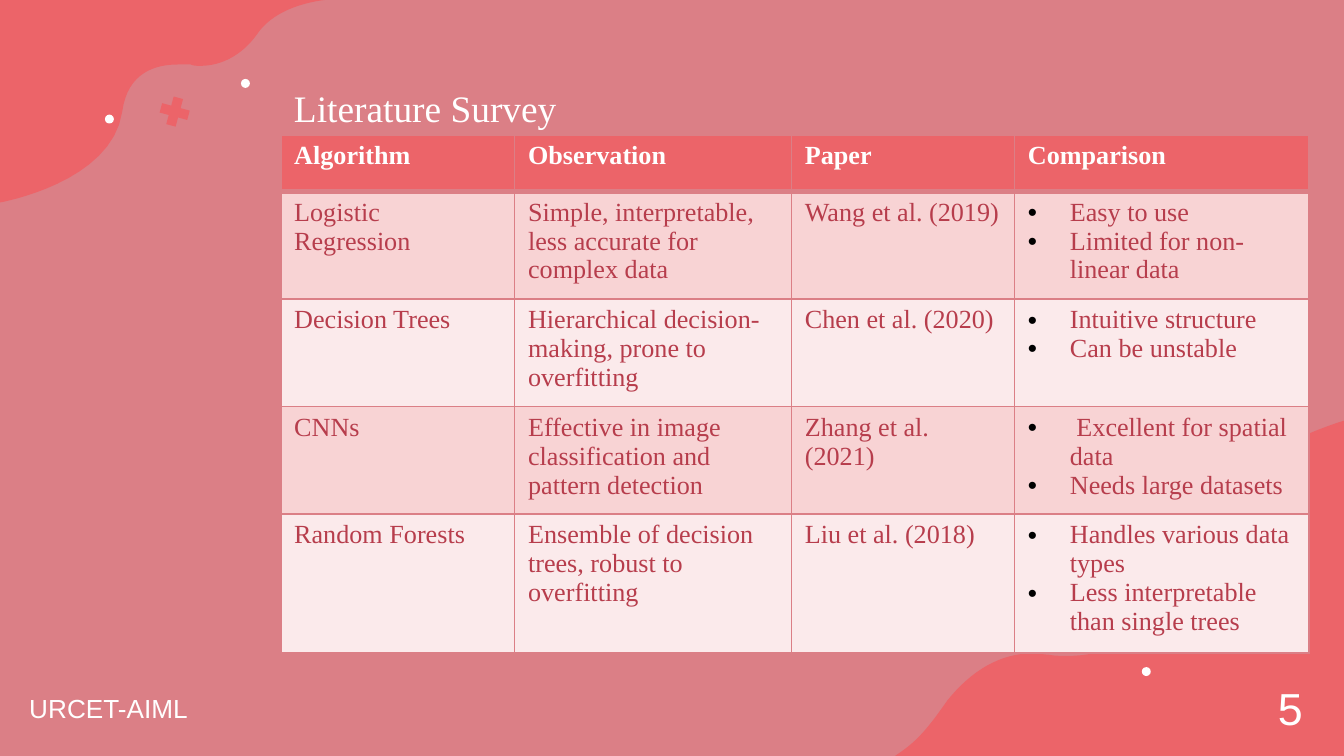
from lxml import etree
from pptx import Presentation, oxml
from pptx import util as u
from pptx.dml import color
from pptx.enum import shapes, text
from pptx.oxml import ns

Pt = u.Pt
ROSE, CORAL, WHITE, WINE, BLACK = "DB7F86", "EC6469", "FFFFFF", "B73D4C", "000000"
BANDS = ["F8D3D4", "FBEAEB"]
SERIF, SANS = "Times New Roman", "Arial"

# Wavy edges as Bezier points: a start, then three points for each segment
TOP_WAVE = [
    (0, 108.5), (0, 108.5), (60, 98), (65.5, 59.8), (68.4, 38.2), (84.2, 34.6), (95, 34.6),
    (97.9, 34.6), (100, 34.6), (102.2, 34.6), (103.7, 35.3), (105.8, 35.3), (107.3, 35.3),
    (118.8, 35.3), (129.6, 29.5), (137.5, 18.7), (145.4, 6.5), (162, 1.4), (174.2, 0),
]
BOTTOM_WAVE = [
    (240.5, 0), (240.5, 0), (147.6, 27.4), (139, 86.4), (133.9, 120.2), (109.4, 126), (92.9, 126),
    (88.6, 126), (85, 126), (82.1, 125.3), (79.2, 125.3), (77, 124.6), (74.2, 124.6),
    (56.2, 124.6), (41, 133.9), (28.1, 149.8), (15.1, 168.5), (10.1, 172.8), (0, 179.6),
]

HEADERS = ["Algorithm", "Observation", "Paper", "Comparison"]
SURVEY = [
    ["Logistic Regression", "Simple, interpretable, less accurate for complex data",
     "Wang et al. (2019)", ["Easy to use", "Limited for non-linear data"]],
    ["Decision Trees", "Hierarchical decision-making, prone to overfitting",
     "Chen et al. (2020)", ["Intuitive structure", "Can be unstable"]],
    ["CNNs", "Effective in image classification and pattern detection",
     "Zhang et al. (2021)", [" Excellent for spatial data", "Needs large datasets"]],
    ["Random Forests", "Ensemble of decision trees, robust to overfitting",
     "Liu et al. (2018)", ["Handles various data types", "Less interpretable than single trees"]],
]


def rgb(value):
    return color.RGBColor.from_string(value)


def paint(shape, fill):
    shape.fill.solid()
    shape.fill.fore_color.rgb = rgb(fill)
    shape.line.fill.background()
    shape.shadow.inherit = False


def write(paragraph, words, font_color, **font):
    run = paragraph.add_run()
    run.text = words
    run.font.color.rgb = rgb(font_color)
    for name, value in font.items():
        setattr(run.font, name, value)


def curve_points(points, steps=16):
    """Sample a chain of cubic Bezier segments."""
    sampled = [points[0]]
    for start in range(0, len(points) - 1, 3):
        a, b, c, d = points[start:start + 4]
        for step in range(1, steps + 1):
            t = step / steps
            s = 1 - t
            sampled.append(tuple(
                s ** 3 * a[i] + 3 * s * s * t * b[i] + 3 * s * t * t * c[i] + t ** 3 * d[i]
                for i in (0, 1)))
    return sampled


def add_wave(slide, box, wave, corner):
    """Fill the area between a wavy edge and one corner of the box."""
    left, top = box[:2]
    outline = [(Pt(left + x), Pt(top + y)) for x, y in curve_points(wave) + [corner]]
    builder = slide.shapes.build_freeform(*outline[0], scale=1.0)
    builder.add_line_segments(outline[1:], close=True)
    paint(builder.convert_to_shape(), CORAL)


def add_centred(slide, kind, centre, size, fill):
    x, y = centre
    shape = slide.shapes.add_shape(kind, Pt(x - size / 2), Pt(y - size / 2), Pt(size), Pt(size))
    paint(shape, fill)
    return shape


def add_dot(slide, x, y):
    add_centred(slide, shapes.MSO_SHAPE.OVAL, (x, y), 4.8, WHITE)


def add_top_corner(slide, box):
    left, top = box[:2]
    add_wave(slide, box, TOP_WAVE, (0, 0))
    cross = add_centred(slide, shapes.MSO_SHAPE.CROSS, (left + 93.6, top + 59.8), 15.3, CORAL)
    cross.adjustments[0] = 0.33
    cross.rotation = 15
    add_dot(slide, left + 58.6, top + 63.8)
    add_dot(slide, left + 131.5, top + 44.7)


def add_bottom_corner(slide, box):
    left, top, width, height = box
    add_wave(slide, box, BOTTOM_WAVE, (width, height))
    add_dot(slide, left + 134.6, top + 134.4)


def add_label(slide, box, words, size, font_name, **frame_format):
    label = slide.shapes.add_textbox(*map(Pt, box))
    frame = label.text_frame
    settings = {"word_wrap": True, "vertical_anchor": text.MSO_ANCHOR.TOP, **frame_format}
    for name, value in settings.items():
        setattr(frame, name, value)
    write(frame.paragraphs[0], words, WHITE, size=Pt(size), name=font_name)


def set_borders(cell, **widths):
    properties = cell._tc.get_or_add_tcPr()
    for side in "LRTB":
        properties.append(oxml.parse_xml(
            f'<a:ln{side} {ns.nsdecls("a")} w="{Pt(widths.get(side, 1))}">'
            f'<a:solidFill><a:srgbClr val="{ROSE}"/></a:solidFill></a:ln{side}>'))


def add_bullet(paragraph):
    properties = paragraph._p.get_or_add_pPr()
    properties.set("marL", str(Pt(22.5)))
    properties.set("indent", str(-Pt(22.5)))
    bullet_color = etree.SubElement(properties, ns.qn("a:buClr"))
    etree.SubElement(bullet_color, ns.qn("a:srgbClr"), val=BLACK)
    etree.SubElement(properties, ns.qn("a:buFont"), typeface=SANS)
    etree.SubElement(properties, ns.qn("a:buChar"), char="•")


def fill_cell(cell, content, fill, font_color, bold, borders):
    """Write a string as plain text, or a list as bullets."""
    set_borders(cell, **borders)
    cell.fill.solid()
    cell.fill.fore_color.rgb = rgb(fill)
    bulleted = isinstance(content, list)
    frame = cell.text_frame
    for index, words in enumerate(content if bulleted else [content]):
        paragraph = frame.add_paragraph() if index else frame.paragraphs[0]
        if bulleted:
            add_bullet(paragraph)
        write(paragraph, words, font_color, size=Pt(14), name=SERIF, bold=bold)


def add_survey_table(slide, box, column_widths):
    rows = [HEADERS] + SURVEY
    table = slide.shapes.add_table(len(rows), len(HEADERS), *map(Pt, box)).table
    for column, width in zip(table.columns, column_widths):
        column.width = Pt(width)
    for r, contents in enumerate(rows):
        header = r == 0
        fill = CORAL if header else BANDS[(r - 1) % 2]
        borders = {0: {"B": 3}, 1: {"T": 3}}.get(r, {})
        for c, content in enumerate(contents):
            fill_cell(table.cell(r, c), content, fill, WHITE if header else WINE, header, borders)


def main():
    presentation = Presentation()
    presentation.slide_width, presentation.slide_height = Pt(720), Pt(405)
    slide = presentation.slides.add_slide(presentation.slide_layouts[6])
    slide.background.fill.solid()
    slide.background.fill.fore_color.rgb = rgb(ROSE)

    add_top_corner(slide, (0, 0, 174.2, 108.5))
    add_bottom_corner(slide, (479.5, 225.4, 240.5, 179.6))
    margins = {f"margin_{side}": Pt(7.2) for side in ("left", "top", "right", "bottom")}
    add_label(slide, (150.4, 38.2, 186.5, 30.2), "Literature Survey", 20, SERIF, **margins)
    # Rows start at one-line height and grow with their text
    add_survey_table(slide, (150.4, 72.2, 550.8, 151), (125.3, 148.3, 119.5, 157.7))
    add_label(slide, (8.6, 367.2, 115.2, 24.5), "URCET-AIML", 14, SANS)
    add_label(slide, (677.5, 361.4, 34.6, 36), "5", 24, SANS)
    presentation.save("out.pptx")


if __name__ == "__main__":
    main()
